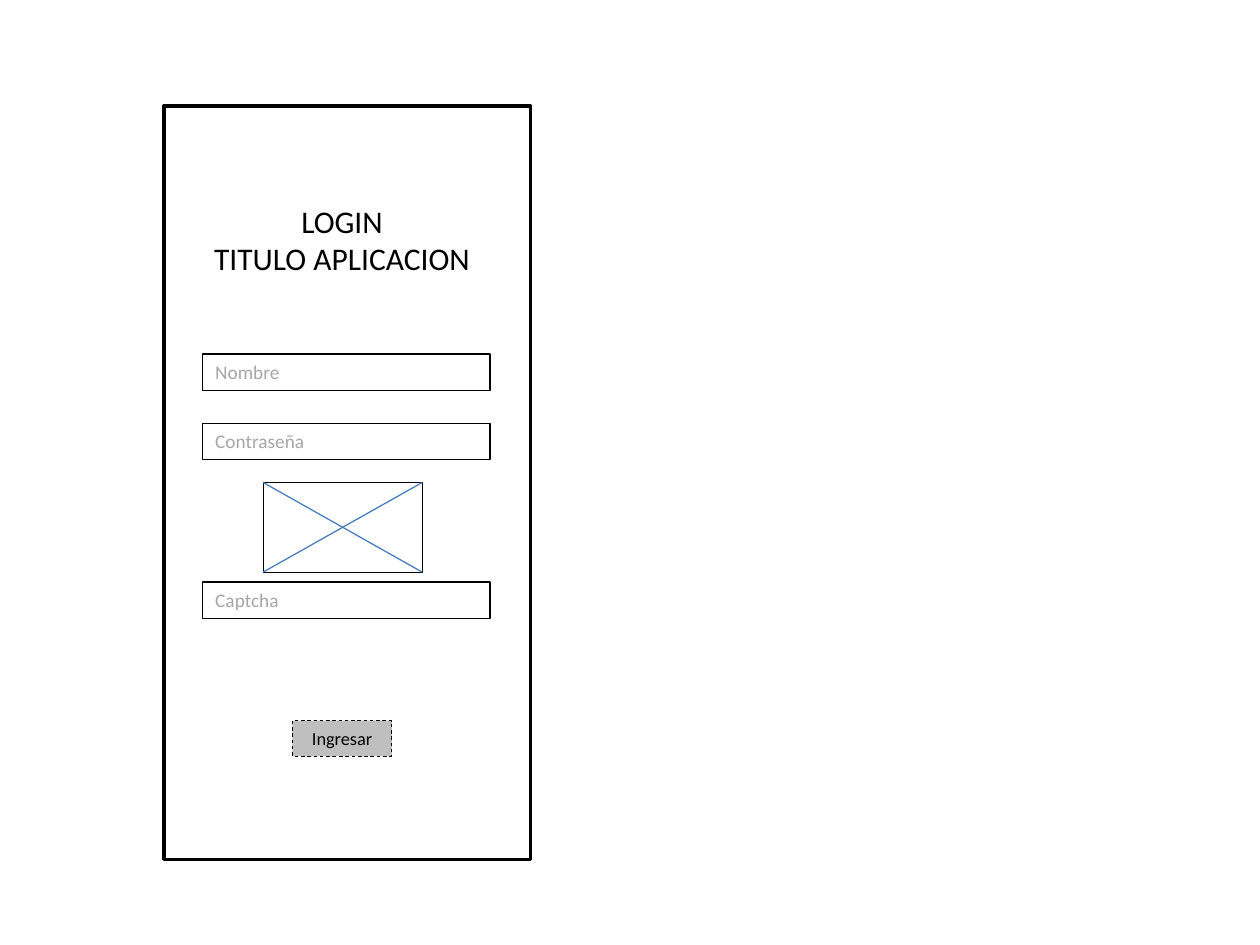
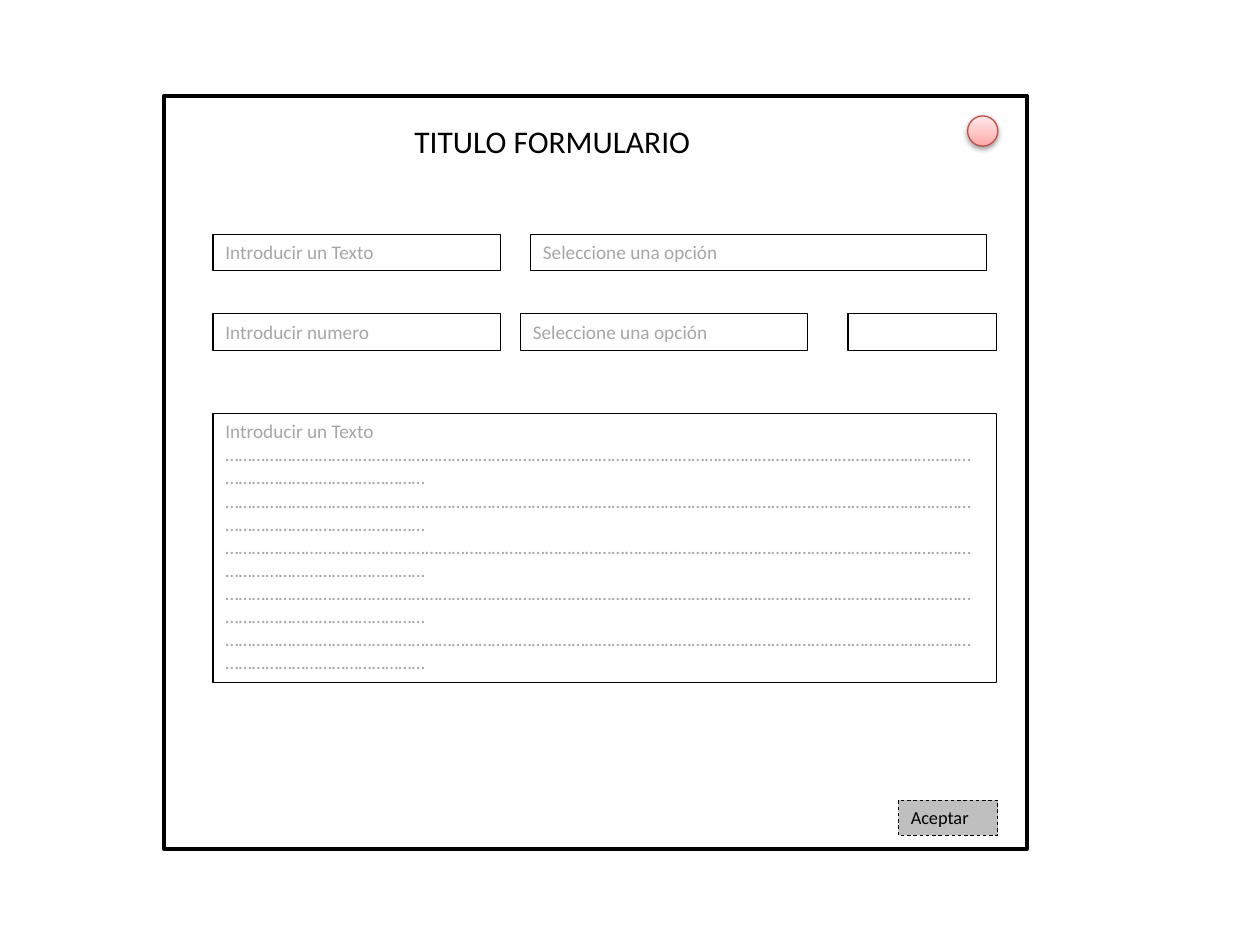
from lxml import etree
from pptx import Presentation
from pptx.dml.color import RGBColor
from pptx.enum.dml import MSO_LINE
from pptx.enum.shapes import MSO_CONNECTOR, MSO_SHAPE
from pptx.enum.text import MSO_ANCHOR, MSO_AUTO_SIZE, PP_ALIGN
from pptx.oxml import parse_xml
from pptx.oxml.ns import nsdecls, qn
from pptx.util import Inches, Pt

RECT, OVAL = MSO_SHAPE.RECTANGLE, MSO_SHAPE.OVAL
STRAIGHT, DASH = MSO_CONNECTOR.STRAIGHT, MSO_LINE.DASH
LEFT, CENTER = PP_ALIGN.LEFT, PP_ALIGN.CENTER
TOP, FIT = MSO_ANCHOR.TOP, MSO_AUTO_SIZE.SHAPE_TO_FIT_TEXT

FONT = "Calibri"
BLACK, WHITE, HINT, BUTTON = "000000", "FFFFFF", "A6A6A6", "BFBFBF"
CROSS, CLOSE_EDGE = "4B7EBC", "BF4C48"
CLOSE_STOPS = [(0, "FFA6A5"), (35, "FFC0BF"), (100, "FFE7E7")]

FIELD_W, FIELD_H = 2.28, 0.29
BUTTON_W, BUTTON_H = 0.79, 0.28
FRAME_LEFT, FRAME_H = 1.3, 5.98
DOTTED_LINE = "…" * 71

LOGIN = {
    "frame": (0.84, 2.91),
    "title": (["LOGIN", "TITULO APLICACION"], (1.3, 1.55, 2.83, 0.71), CENTER),
    "fields": [
        ("Nombre", 1.61, 2.81, FIELD_W, FIELD_H),
        ("Contraseña", 1.61, 3.36, FIELD_W, FIELD_H),
        ("Captcha", 1.61, 4.62, FIELD_W, FIELD_H),
    ],
    "button": ("Ingresar", 2.32, 5.72, CENTER),
}
CAPTCHA_IMAGE = (2.09, 3.83, 1.26, 0.71)

FORM = {
    "frame": (0.76, 6.85),
    "title": (["TITULO FORMULARIO"], (3.19, 0.92, 3.86, 0.4), LEFT),
    "fields": [
        ("Introducir un Texto", 1.69, 1.86, FIELD_W, FIELD_H),
        ("Seleccione una opción", 4.21, 1.86, 3.62, FIELD_H),
        ("Introducir numero", 1.69, 2.49, FIELD_W, FIELD_H),
        ("Seleccione una opción", 4.13, 2.49, FIELD_W, FIELD_H),
        ("", 6.73, 2.49, 1.18, FIELD_H),
        (" ".join(["Introducir un Texto"] + [DOTTED_LINE] * 5), 1.69, 3.28, 6.22, 2.14),
    ],
    "button": ("Aceptar", 7.13, 6.35, LEFT),
}
CLOSE_BUTTON = (7.68, 0.92, 0.24, 0.24)


def rgb(color):
    return RGBColor.from_string(color)


def write(holder, paragraphs, size=11, color=HINT, align=LEFT):
    frame = holder.text_frame
    frame.word_wrap = True
    frame.auto_size = FIT
    frame.vertical_anchor = TOP
    for index, words in enumerate(paragraphs):
        paragraph = frame.add_paragraph() if index else frame.paragraphs[0]
        paragraph.alignment = align
        run = paragraph.add_run()
        run.text = words
        run.font.name = FONT
        run.font.size = Pt(size)
        run.font.color.rgb = rgb(color)


def add_box(slide, box, fill=None, line=BLACK, width=0.75, dash=None, kind=RECT):
    shape = slide.shapes.add_shape(kind, *map(Inches, box))
    shape.shadow.inherit = False
    if fill:
        shape.fill.solid()
        shape.fill.fore_color.rgb = rgb(fill)
    else:
        shape.fill.background()
    shape.line.color.rgb = rgb(line)
    shape.line.width = Pt(width)
    if dash:
        shape.line.dash_style = dash
    return shape


def add_screen(deck, screen):
    slide = deck.slides.add_slide(deck.slide_layouts[6])
    top, width = screen["frame"]
    add_box(slide, (FRAME_LEFT, top, width, FRAME_H), fill=WHITE, width=2)

    lines, box, align = screen["title"]
    title = slide.shapes.add_textbox(*map(Inches, box))
    write(title, lines, size=18, color=BLACK, align=align)

    for hint, *box in screen["fields"]:
        field = add_box(slide, box)
        if hint:
            write(field, [hint])

    label, left, top, align = screen["button"]
    button = add_box(slide, (left, top, BUTTON_W, BUTTON_H), fill=BUTTON, width=0.5, dash=DASH)
    write(button, [label], size=10.5, color=BLACK, align=align)
    return slide


def add_captcha_image(slide):
    add_box(slide, CAPTCHA_IMAGE, width=0.5)
    left, top, width, height = CAPTCHA_IMAGE
    right, bottom = left + width, top + height
    for ends in [(left, top, right, bottom), (right, top, left, bottom)]:
        diagonal = slide.shapes.add_connector(STRAIGHT, *map(Inches, ends))
        diagonal.line.color.rgb = rgb(CROSS)
        diagonal.line.width = Pt(0.75)
        etree.SubElement(diagonal.element.spPr, qn("a:effectLst"))


def add_close_button(slide):
    close = add_box(slide, CLOSE_BUTTON, line=CLOSE_EDGE, kind=OVAL)
    properties = close.element.spPr
    stops = "".join(
        f'<a:gs pos="{position * 1000}"><a:srgbClr val="{color}"/></a:gs>'
        for position, color in CLOSE_STOPS
    )
    gradient = parse_xml(
        f'<a:gradFill {nsdecls("a")} rotWithShape="1"><a:gsLst>{stops}</a:gsLst>'
        '<a:lin ang="16200000" scaled="1"/></a:gradFill>'
    )
    properties.replace(properties.find(qn("a:noFill")), gradient)
    shadow = parse_xml(
        f'<a:outerShdw {nsdecls("a")} blurRad="{Pt(3.1)}" dist="{Pt(1.6)}" dir="5400000" '
        f'rotWithShape="0"><a:srgbClr val="{BLACK}"><a:alpha val="38000"/></a:srgbClr></a:outerShdw>'
    )
    properties.find(qn("a:effectLst")).append(shadow)


def main():
    deck = Presentation()
    deck.slide_width, deck.slide_height = Inches(10), Inches(7.5)
    add_captcha_image(add_screen(deck, LOGIN))
    add_close_button(add_screen(deck, FORM))
    deck.save("out.pptx")


if __name__ == "__main__":
    main()
